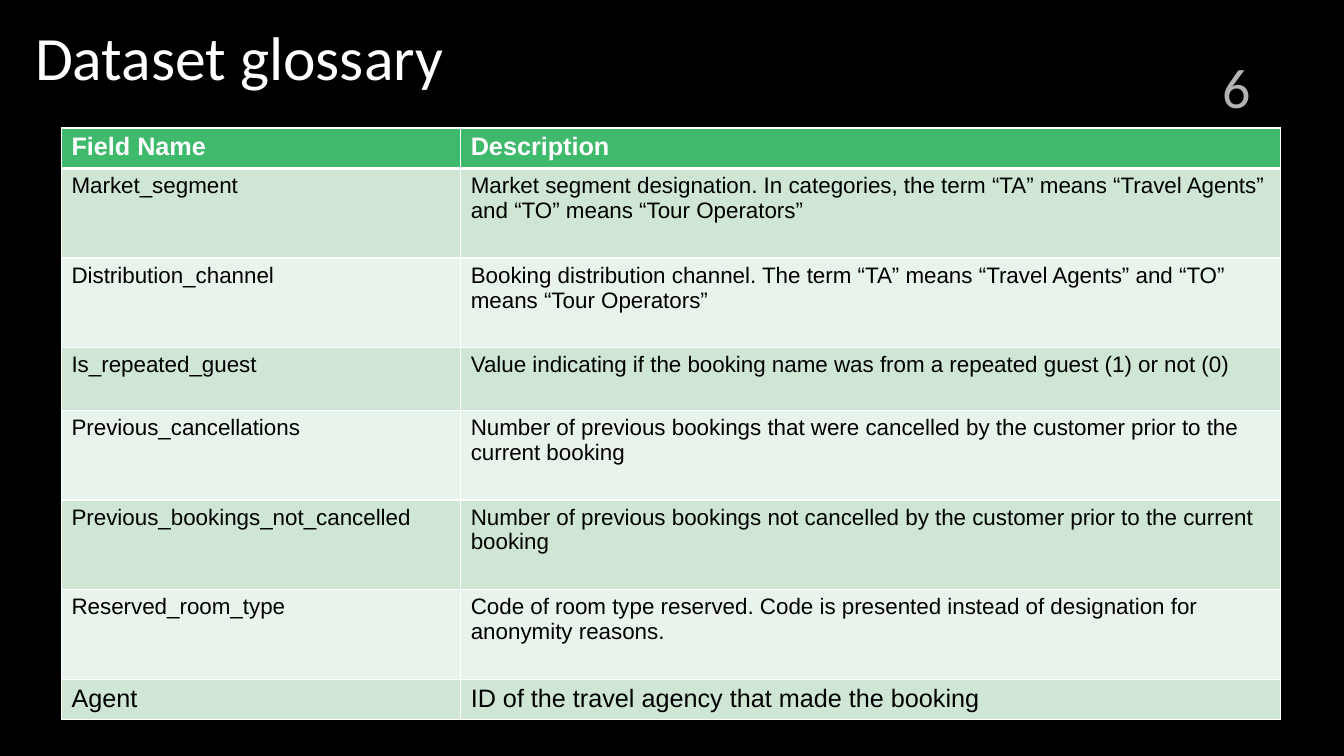
from dataclasses import dataclass

from lxml.etree import SubElement
from pptx import Presentation
from pptx.dml.color import RGBColor as Rgb
from pptx.enum.text import MSO_ANCHOR as Anchor, PP_ALIGN as Align
from pptx.oxml import parse_xml
from pptx.oxml.ns import nsdecls, qn
from pptx.util import Inches, Pt


@dataclass(frozen=True)
class Theme:
    background: str = "000000"
    light: str = "FFFFFF"
    dark: str = "000000"
    header_fill: str = "3FB96C"
    odd_fill: str = "CFE6D4"
    even_fill: str = "E8F3EB"
    heading_font: str = "Calibri"
    table_font: str = "Arial"
    title_size: int = 44
    number_size: int = 40
    large_size: int = 18
    body_size: int = 16
    thin_line: int = 1
    thick_line: int = 3


THEME = Theme()
COLUMN_WIDTHS = (3.96, 8.13)
HEADINGS = ("Field Name", "Description")
GLOSSARY = (
    ("Market_segment", "Market segment designation. In categories, the term “TA” means “Travel Agents” and “TO” means “Tour Operators”", 0.89, THEME.body_size),
    ("Distribution_channel", "Booking distribution channel. The term “TA” means “Travel Agents” and “TO” means “Tour Operators”", 0.89, THEME.body_size),
    ("Is_repeated_guest", "Value indicating if the booking name was from a repeated guest (1) or not (0)", 0.62, THEME.body_size),
    ("Previous_cancellations", "Number of previous bookings that were cancelled by the customer prior to the current booking", 0.89, THEME.body_size),
    ("Previous_bookings_not_cancelled", "Number of previous bookings not cancelled by the customer prior to the current booking", 0.89, THEME.body_size),
    ("Reserved_room_type", "Code of room type reserved. Code is presented instead of designation for anonymity reasons.", 0.89, THEME.body_size),
    ("Agent", "ID of the travel agency that made the booking", 0.36, THEME.large_size),
)


def format_run(run, font, size, color, bold=False):
    run.font.name = font
    run.font.size = Pt(size)
    run.font.bold = bold
    run.font.color.rgb = Rgb.from_string(color)


def add_heading(slide, box, wording, size, align, line_spacing=1.0):
    frame = slide.shapes.add_textbox(*map(Inches, box)).text_frame
    frame.word_wrap = True
    frame.vertical_anchor = Anchor.MIDDLE
    frame.text = wording
    paragraph = frame.paragraphs[0]
    paragraph.alignment = align
    paragraph.line_spacing = line_spacing
    run = paragraph.runs[0]
    format_run(run, THEME.heading_font, size, THEME.light)
    return run


def add_page_number(slide, box, number):
    run = add_heading(slide, box, number, THEME.number_size, Align.RIGHT)
    color = run.font.fill._xPr.find(qn("a:solidFill"))[0]
    SubElement(color, qn("a:alpha")).set("val", "70000")


def set_borders(cell, top, bottom):
    properties = cell._tc.get_or_add_tcPr()
    widths = {"L": THEME.thin_line, "R": THEME.thin_line, "T": top, "B": bottom}
    for position, (side, width) in enumerate(widths.items()):
        properties.insert(position, parse_xml(
            f'<a:ln{side} {nsdecls("a")} w="{Pt(width)}"><a:solidFill>'
            f'<a:srgbClr val="{THEME.light}"/></a:solidFill></a:ln{side}>'))


def add_glossary(slide, box):
    entries = ((*HEADINGS, 0.36, THEME.large_size), *GLOSSARY)
    glossary = slide.shapes.add_table(
        len(entries), len(HEADINGS), *map(Inches, box)).table
    for column, width in zip(glossary.columns, COLUMN_WIDTHS):
        column.width = Inches(width)
    for index, (field, description, height, size) in enumerate(entries):
        is_header = index == 0
        if is_header:
            fill, color = THEME.header_fill, THEME.light
        else:
            fill = THEME.odd_fill if index % 2 else THEME.even_fill
            color = THEME.dark
        top = THEME.thick_line if index == 1 else THEME.thin_line
        bottom = THEME.thick_line if is_header else THEME.thin_line
        row = glossary.rows[index]
        row.height = Inches(height)
        for cell, wording in zip(row.cells, (field, description)):
            cell.text_frame.text = wording
            format_run(cell.text_frame.paragraphs[0].runs[0],
                       THEME.table_font, size, color, is_header)
            cell.fill.solid()
            cell.fill.fore_color.rgb = Rgb.from_string(fill)
            set_borders(cell, top, bottom)


def build_glossary_slide(deck):
    slide = deck.slides.add_slide(deck.slide_layouts[6])
    slide.background.fill.solid()
    slide.background.fill.fore_color.rgb = Rgb.from_string(THEME.background)
    add_heading(slide, (0.25, 0.19, 11.67, 0.83), "Dataset glossary",
                THEME.title_size, Align.LEFT, 0.9)
    add_page_number(slide, (10, 0.44, 2.5, 0.83), "6")
    add_glossary(slide, (0.61, 1.27, sum(COLUMN_WIDTHS), 5.87))


def main():
    deck = Presentation()
    deck.slide_width = Inches(13.33)
    deck.slide_height = Inches(7.5)
    build_glossary_slide(deck)
    deck.save("out.pptx")


if __name__ == "__main__":
    main()
